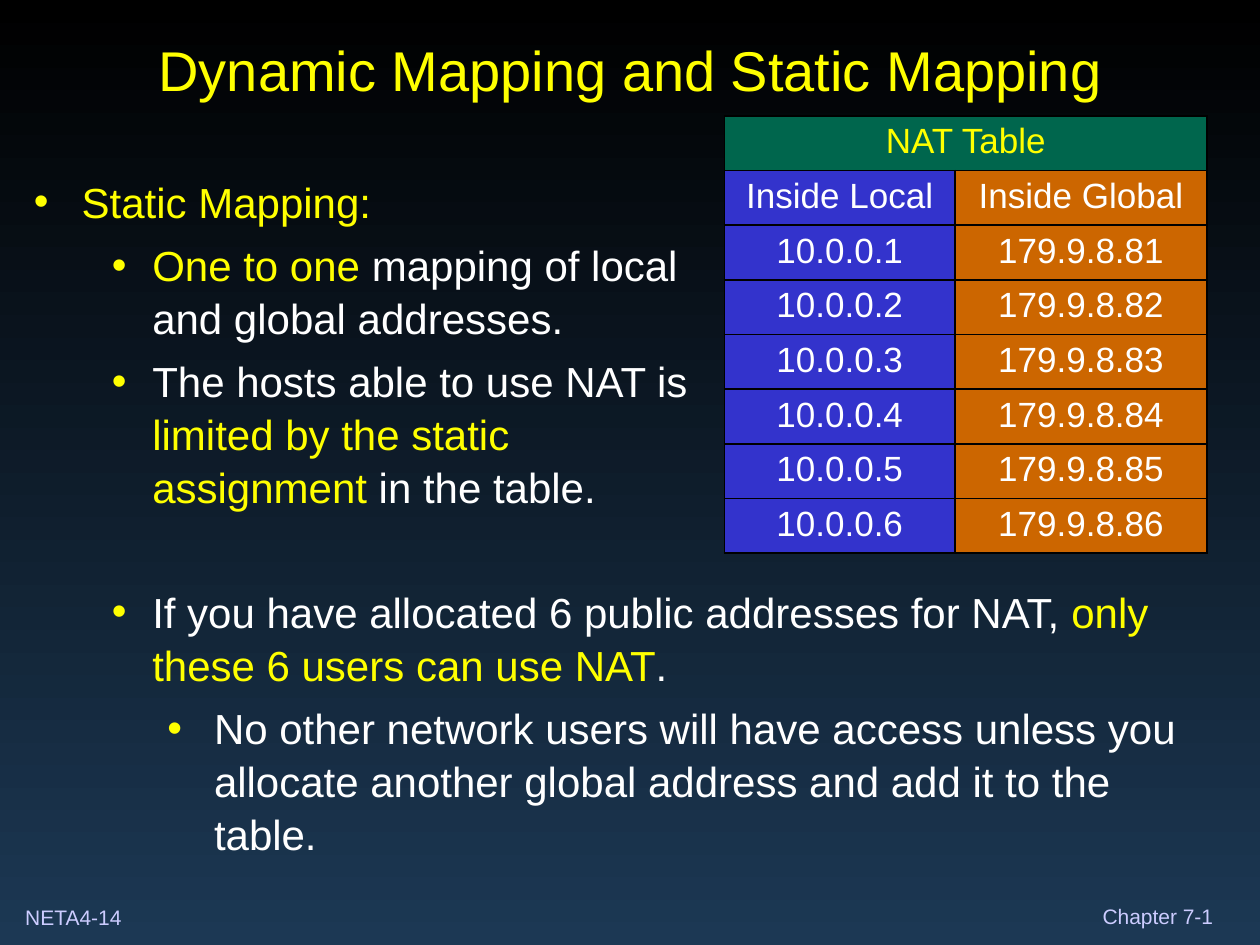
from pptx import Presentation, util as u
from pptx.dml.color import RGBColor
from pptx.enum import text
from pptx.oxml import parse_xml
from pptx.oxml.ns import nsdecls

FONT = "Arial"
YELLOW, WHITE, LILAC = "FFFF00", "FFFFFF", "CCCCFF"
GREEN, BLUE, ORANGE = "00664D", "3333CC", "CC6600"
INDENTS = [(0.38, 0.38), (0.94, 0.32), (1.43, 0.37)]

BULLETS = [
    (0, 0, [("Static Mapping:", YELLOW)]),
    (1, 6, [("One to one", YELLOW),
            (" mapping of local\nand global addresses.", WHITE)]),
    (1, 6, [("The hosts able to use NAT is\n", WHITE),
            ("limited by the static\nassignment", YELLOW),
            (" in the table.", WHITE)]),
    (1, 41, [("If you have allocated 6 public addresses for NAT, ", WHITE),
             ("only these 6 users can use NAT", YELLOW), (".", WHITE)]),
    (2, 6, [("No other network users will have access unless you allocate "
             "another global address and add it to the table.", WHITE)]),
]


def rgb(value):
    return RGBColor.from_string(value)


def style(p, size, color, align=None):
    p.font.name, p.font.size = FONT, u.Pt(size)
    p.font.color.rgb = rgb(color)
    p.alignment = align


def place(sp, left, top, width, height):
    sp.left, sp.top = u.Inches(left), u.Inches(top)
    sp.width, sp.height = u.Inches(width), u.Inches(height)


def set_background(s, *colors):
    fill = s.background.fill
    fill.gradient()
    fill.gradient_angle = 270
    for stop, color in zip(fill.gradient_stops, colors):
        stop.color.rgb = rgb(color)


def set_title(s, words):
    sp = s.shapes.title
    place(sp, 0.17, 0.17, 9.67, 0.75)
    tf = sp.text_frame
    tf.text = words
    tf.vertical_anchor = text.MSO_ANCHOR.MIDDLE
    style(tf.paragraphs[0], 32, YELLOW, text.PP_ALIGN.CENTER)


def add_label(s, words, box, insets, anchor):
    tf = s.shapes.add_textbox(*map(u.Inches, box)).text_frame
    tf.margin_left, tf.margin_top, tf.margin_right, tf.margin_bottom = map(u.Inches, insets)
    tf.vertical_anchor = anchor
    tf.word_wrap = True
    tf.text = words
    style(tf.paragraphs[0], 12, LILAC)


def add_bullet(p, level, space, parts):
    style(p, 24, WHITE)
    p.level, p.space_before, p.line_spacing = level, u.Pt(space), 1.05
    left, hang = INDENTS[level]
    pPr = p._p.get_or_add_pPr()
    pPr.set("marL", str(u.Inches(left)))
    pPr.set("indent", str(-u.Inches(hang)))
    marks = (f'<a:buClr {nsdecls("a")}><a:srgbClr val="{YELLOW}"/></a:buClr>',
             f'<a:buFont {nsdecls("a")} typeface="{FONT}"/>',
             f'<a:buChar {nsdecls("a")} char="•"/>')
    for offset, mark in enumerate(marks):
        pPr.insert(len(pPr) - 1, parse_xml(mark))
    for words, color in parts:
        for i, line in enumerate(words.split("\n")):
            if i:
                p.add_line_break()
            if line:
                r = p.add_run()
                r.text = line
                r.font.color.rgb = rgb(color)
                r.font.size = u.Pt(24)


def add_bullets(s, bullets):
    tf = s.shapes.add_textbox(*map(u.Inches, (0.17, 1.33, 9.58, 5.75))).text_frame
    tf.word_wrap = True
    for i, bullet in enumerate(bullets):
        add_bullet(tf.add_paragraph() if i else tf.paragraphs[0], *bullet)


def fill_cell(cell, words, fill, color):
    cell.text = words
    style(cell.text_frame.paragraphs[0], 20, color, text.PP_ALIGN.CENTER)
    cell.fill.solid()
    cell.fill.fore_color.rgb = rgb(fill)
    tcPr = cell._tc.get_or_add_tcPr()
    for i, side in enumerate("LRTB"):
        tcPr.insert(i, parse_xml(
            f'<a:ln{side} {nsdecls("a")} w="{u.Pt(1.08)}"><a:solidFill>'
            f'<a:srgbClr val="000000"/></a:solidFill></a:ln{side}>'))


def add_nat_table(s):
    rows = [("NAT Table", ""), ("Inside Local", "Inside Global")]
    rows += [(f"10.0.0.{n}", f"179.9.8.8{n}") for n in range(1, 7)]
    table = s.shapes.add_table(
        len(rows), 2, *map(u.Inches, (5.75, 0.92, 3.83, 3.47))).table
    for column, width in zip(table.columns, (1.83, 2)):
        column.width = u.Inches(width)
    table.cell(0, 0).merge(table.cell(0, 1))
    for i, row in enumerate(rows):
        for j, (words, fill) in enumerate(zip(row, (BLUE, ORANGE))):
            fill_cell(table.cell(i, j), words, fill if i else GREEN,
                      WHITE if i else YELLOW)


def main():
    prs = Presentation()
    prs.slide_width, prs.slide_height = u.Inches(10), u.Inches(7.5)
    s = prs.slides.add_slide(prs.slide_layouts[5])
    set_background(s, "000000", "1C3854")
    add_label(s, "NETA4-14", (0, 7.13, 1.42, 0.3), (0.2, 0.05, 0.1, 0.05),
              text.MSO_ANCHOR.TOP)
    add_label(s, "Chapter 7-1", (8.75, 7.17, 0.92, 0.2), (0, 0, 0, 0),
              text.MSO_ANCHOR.BOTTOM)
    set_title(s, "Dynamic Mapping and Static Mapping")
    add_bullets(s, BULLETS)
    add_nat_table(s)
    prs.save("out.pptx")


if __name__ == "__main__":
    main()
